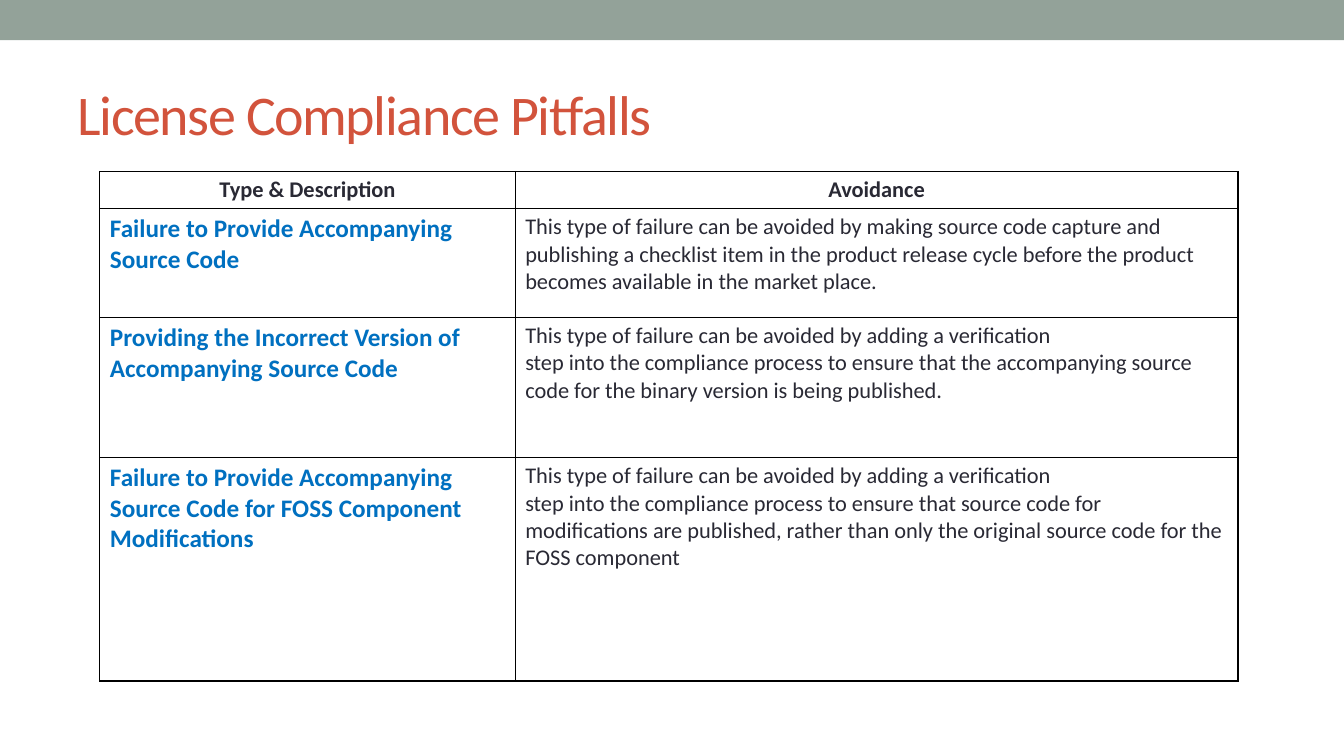
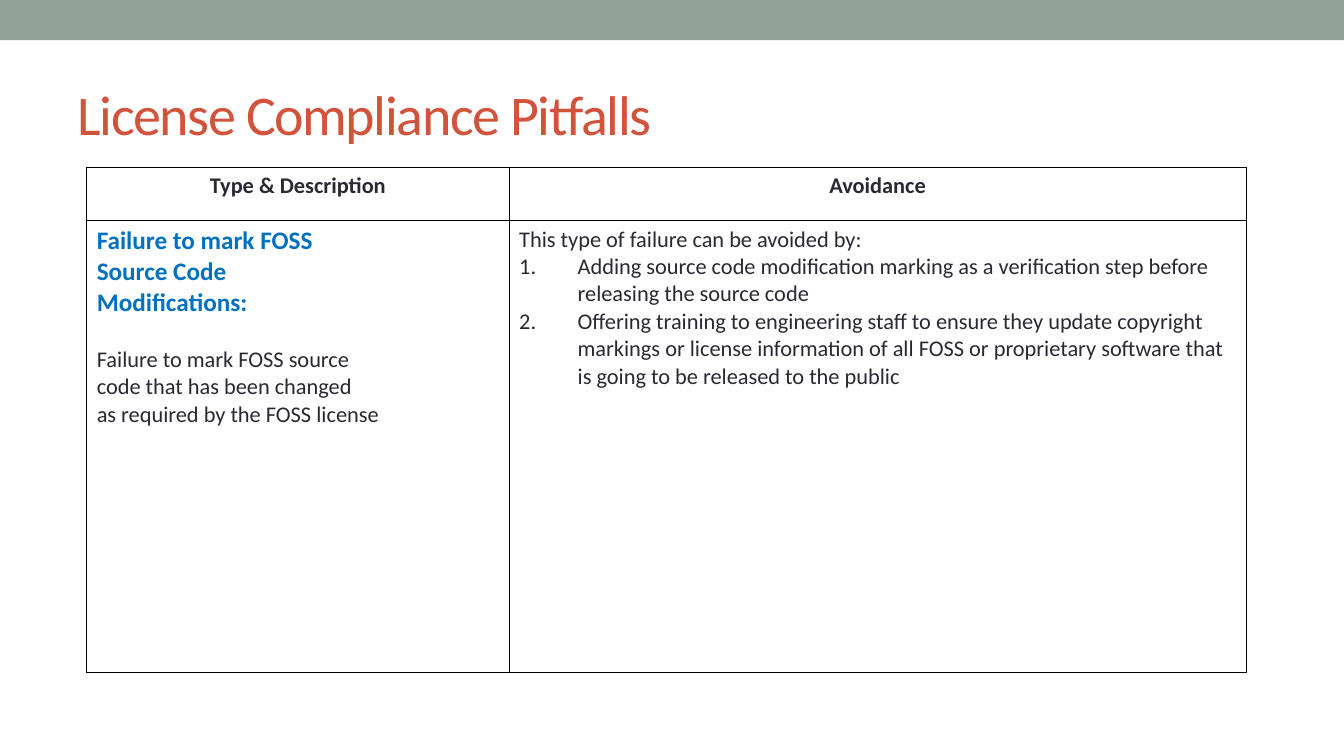
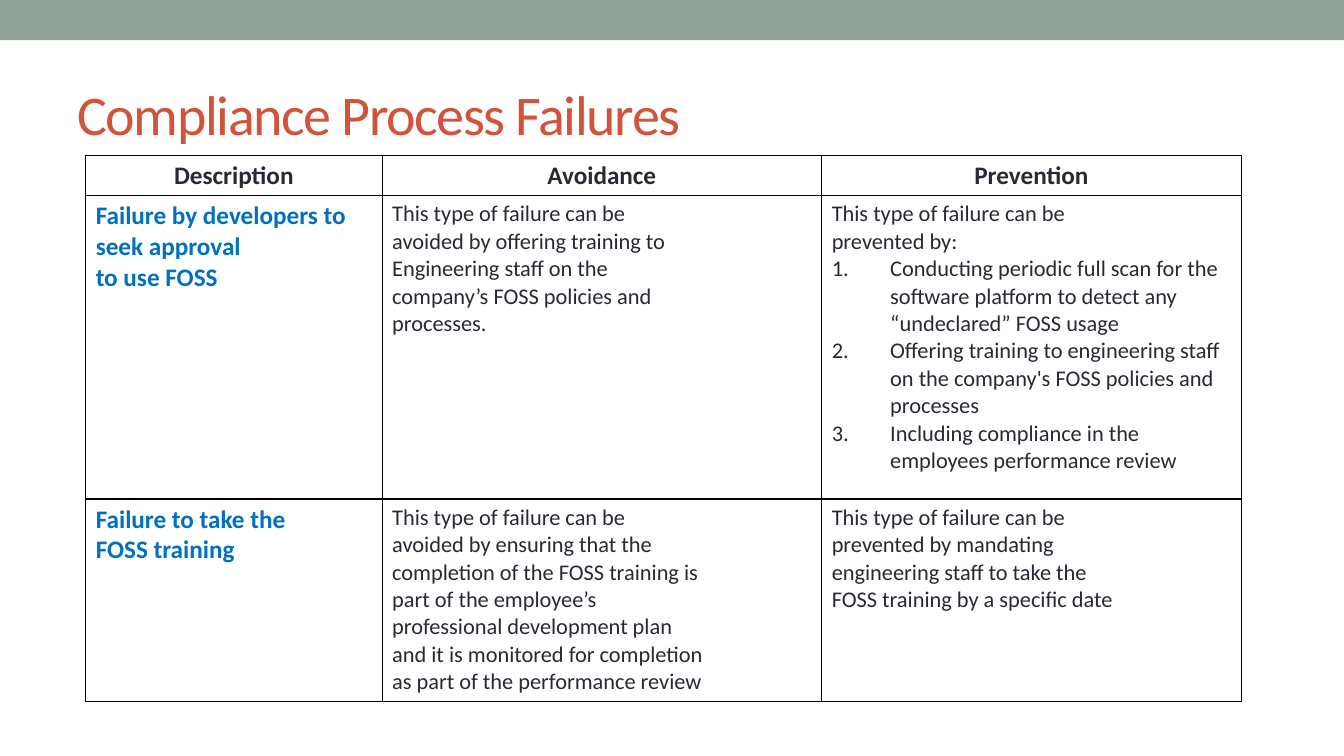
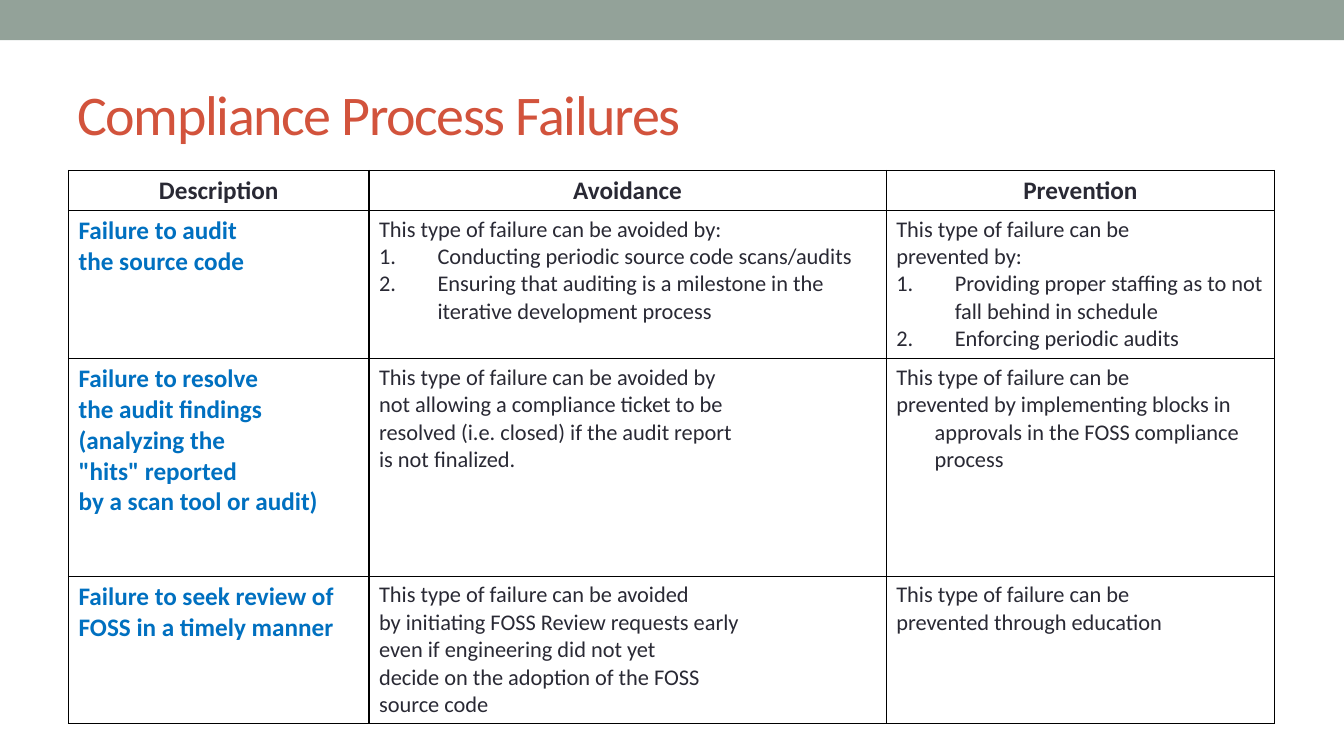
from lxml.etree import SubElement
from pptx import Presentation
from pptx.dml.color import RGBColor
from pptx.enum.shapes import MSO_SHAPE as Shape
from pptx.enum.text import MSO_ANCHOR as Anchor, PP_ALIGN as Align
from pptx.oxml.ns import qn
from pptx.util import Inches, Pt

# Shared style
WIDTH, HEIGHT = 13.33, 7.5
FONT = "Calibri"
BAND, TITLE, HEADING, BODY, BORDER, PAPER = (
    "93A299", "D2533C", "0070C0", "292934", "000000", "FFFFFF")
BODY_SIZE, HEADING_SIZE, TITLE_SIZE = 16, 18, 40
STEP_INDENT = 0.58

# Content: a cell is its lines, or (lines, numbered steps);
# in the first column the second part is a note below the heading.
SLIDES = [
    dict(
        title="License Compliance Pitfalls",
        left=0.99, top=1.7, columns=[4.12, 7.17], rows=[0.36, 1.08, 1.39, 2.22],
        header_size=16, wrap_indent=0,
        header=["Type & Description", "Avoidance"],
        cells=[
            ["Failure to Provide Accompanying Source Code",
             "This type of failure can be avoided by making source code capture and "
             "publishing a checklist item in the product release cycle before the "
             "product becomes available in the market place."],
            ["Providing the Incorrect Version of Accompanying Source Code",
             "This type of failure can be avoided by adding a verification\n"
             "step into the compliance process to ensure that the accompanying "
             "source code for the binary version is being published."],
            ["Failure to Provide Accompanying Source Code for FOSS Component "
             "Modifications",
             "This type of failure can be avoided by adding a verification\n"
             "step into the compliance process to ensure that source code for "
             "modifications are published, rather than only the original source "
             "code for the FOSS component"],
        ]),
    dict(
        title="License Compliance Pitfalls",
        left=0.86, top=1.66, columns=[4.19, 7.31], rows=[0.53, 4.48],
        header_size=16, wrap_indent=0.38,
        header=["Type & Description", "Avoidance"],
        cells=[
            [("Failure to mark FOSS\nSource Code\nModifications:",
              ["Failure to mark FOSS source",
               "code that has been changed",
               "as required by the FOSS license"]),
             ("This type of failure can be avoided by:",
              ["Adding source code modification marking as a verification step "
               "before releasing the source code",
               "Offering training to engineering staff to ensure they update "
               "copyright markings or license information of all FOSS or "
               "proprietary software that is going to be released to the public"])],
        ]),
    dict(
        title="Compliance Process Failures",
        left=0.85, top=1.54, columns=[2.94, 4.36, 4.16], rows=[0.4, 3.01, 2.01],
        header_size=18, wrap_indent=0.38,
        header=["Description", "Avoidance", "Prevention"],
        cells=[
            ["Failure by developers to seek approval\nto use FOSS",
             "This type of failure can be\navoided by offering training to\n"
             "Engineering staff on the\ncompany’s FOSS policies and\nprocesses.",
             ("This type of failure can be\nprevented by:",
              ["Conducting periodic full scan for the software platform to detect "
               "any “undeclared” FOSS usage",
               "Offering training to engineering staff on the company's FOSS "
               "policies and processes",
               "Including compliance in the employees performance review"])],
            ["Failure to take the\nFOSS training",
             "This type of failure can be\navoided by ensuring that the\n"
             "completion of the FOSS training is\npart of the employee’s\n"
             "professional development plan\nand it is monitored for completion\n"
             "as part of the performance review",
             "This type of failure can be\nprevented by mandating\n"
             "engineering staff to take the\nFOSS training by a specific date"],
        ]),
    dict(
        title="Compliance Process Failures",
        left=0.68, top=1.69, columns=[2.98, 5.13, 3.85], rows=[0.4, 1.47, 2.16, 1.46],
        header_size=18, wrap_indent=0.38,
        header=["Description", "Avoidance", "Prevention"],
        cells=[
            ["Failure to audit\nthe source code",
             ("This type of failure can be avoided by:",
              ["Conducting periodic source code scans/audits",
               "Ensuring that auditing is a milestone in the iterative development "
               "process"]),
             ("This type of failure can be\nprevented by:",
              ["Providing proper staffing as to not fall behind in schedule",
               "Enforcing periodic audits"])],
            ["Failure to resolve\nthe audit findings\n(analyzing the\n"
             "\"hits\" reported\nby a scan tool or audit)",
             "This type of failure can be avoided by\n"
             "not allowing a compliance ticket to be\n"
             "resolved (i.e. closed) if the audit report\nis not finalized.",
             "This type of failure can be\nprevented by implementing blocks in "
             "approvals in the FOSS compliance process"],
            ["Failure to seek review of FOSS in a timely manner",
             "This type of failure can be avoided\n"
             "by initiating FOSS Review requests early\n"
             "even if engineering did not yet\ndecide on the adoption of the FOSS\n"
             "source code",
             "This type of failure can be\nprevented through education"],
        ]),
]


def color(hex_string):
    return RGBColor.from_string(hex_string)


def write(frame, text, size=BODY_SIZE, ink=BODY, bold=False, align=Align.LEFT,
          hang=0, numbered=False, before=0, spacing=0):
    """Add one paragraph, using the frame's first one while it is empty."""
    first = frame.paragraphs[0]
    paragraph = frame.add_paragraph() if first.runs else first
    paragraph.alignment = align
    paragraph.space_before = Pt(before)
    properties = paragraph._p.get_or_add_pPr()
    properties.set("marL", str(Inches(hang)))
    properties.set("indent", str(-Inches(hang)))
    if numbered:
        SubElement(properties, qn("a:buAutoNum"), type="arabicPeriod")
    run = paragraph.add_run()
    run.text = text
    font = run.font
    font.name, font.size, font.bold = FONT, Pt(size), bold
    font.color.rgb = color(ink)
    if spacing:
        font._element.set("spc", str(spacing * 100))


def outline(cell):
    properties = cell._tc.get_or_add_tcPr()
    for side in ("lnL", "lnR", "lnT", "lnB"):
        line = SubElement(properties, qn(f"a:{side}"), w=str(Pt(1)))
        fill = SubElement(line, qn("a:solidFill"))
        SubElement(fill, qn("a:srgbClr"), val=BORDER)
    cell.fill.background()


def fill_cell(frame, content, is_heading, wrap_indent):
    lines, extras = (content, []) if isinstance(content, str) else content
    for line in lines.split("\n"):
        if is_heading:
            write(frame, line, size=HEADING_SIZE, ink=HEADING, bold=True)
        else:
            write(frame, line, hang=wrap_indent)
    for index, extra in enumerate(extras):
        if is_heading:
            write(frame, extra, before=0 if index else 20)
        else:
            write(frame, extra, hang=STEP_INDENT, numbered=True)


def add_frame(slide, title):
    """Background, top band and title."""
    slide.background.fill.solid()
    slide.background.fill.fore_color.rgb = color(PAPER)
    band = slide.shapes.add_shape(Shape.RECTANGLE, 0, 0, Inches(WIDTH), Inches(0.4))
    band.shadow.inherit = False
    band.fill.solid()
    band.fill.fore_color.rgb = color(BAND)
    band.line.fill.background()
    box = slide.shapes.add_textbox(
        Inches(0.67), Inches(0.58), Inches(12), Inches(1.08))
    frame = box.text_frame
    frame.word_wrap = True
    frame.vertical_anchor = Anchor.MIDDLE
    write(frame, title, size=TITLE_SIZE, ink=TITLE, spacing=-1)


def add_failure_table(slide, content):
    columns, rows = content["columns"], content["rows"]
    table = slide.shapes.add_table(
        len(rows), len(columns), Inches(content["left"]), Inches(content["top"]),
        Inches(sum(columns)), Inches(sum(rows))).table
    table.first_row = table.horz_banding = False
    for column, width in zip(table.columns, columns):
        column.width = Inches(width)
    for row, height in zip(table.rows, rows):
        row.height = Inches(height)
    for r, texts in enumerate([content["header"], *content["cells"]]):
        for c, text in enumerate(texts):
            cell = table.cell(r, c)
            outline(cell)
            if r == 0:
                write(cell.text_frame, text, size=content["header_size"],
                      bold=True, align=Align.CENTER)
            else:
                fill_cell(cell.text_frame, text, c == 0, content["wrap_indent"])


# Build the slides
presentation = Presentation()
presentation.slide_width, presentation.slide_height = Inches(WIDTH), Inches(HEIGHT)
for content in SLIDES:
    slide = presentation.slides.add_slide(presentation.slide_layouts[6])
    add_frame(slide, content["title"])
    add_failure_table(slide, content)
presentation.save("out.pptx")
